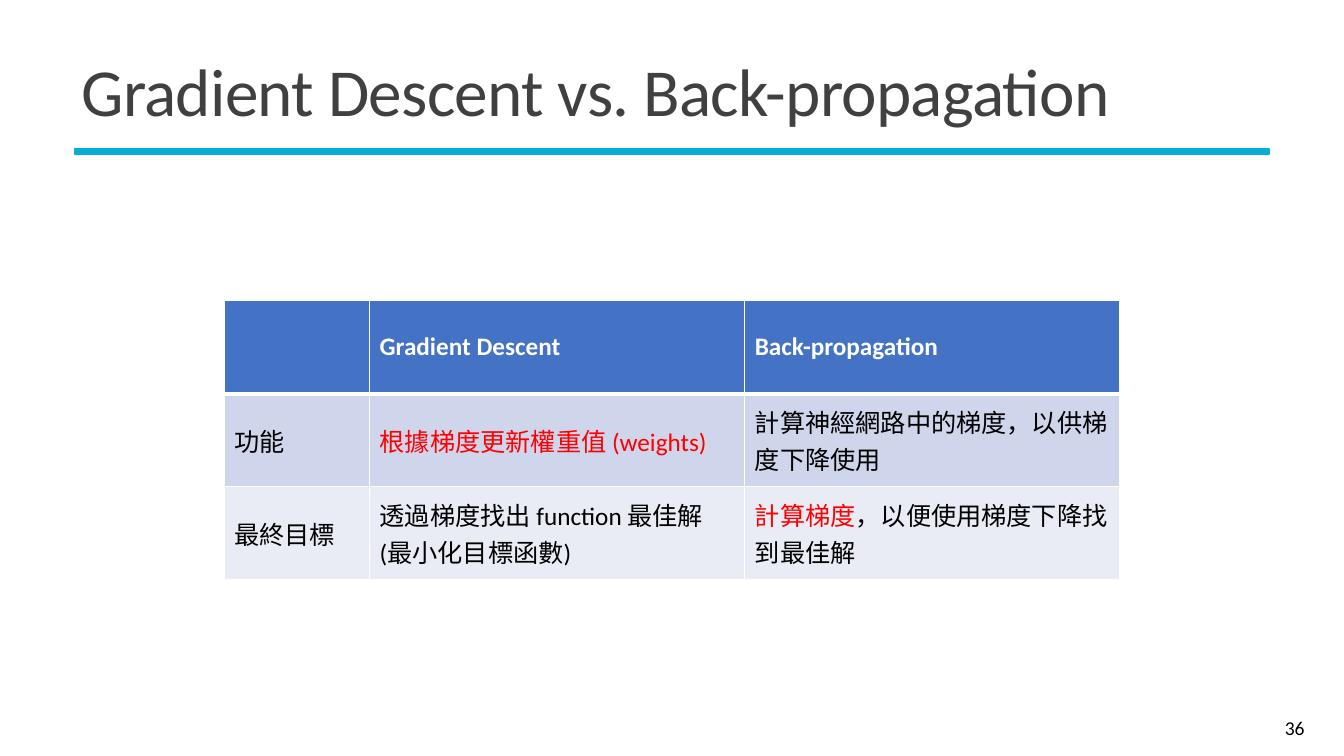
import pptx
import pptx.dml.color
import pptx.enum.shapes
import pptx.enum.text
import pptx.oxml
import pptx.oxml.ns
import pptx.util

Pt = pptx.util.Pt
RGBColor = pptx.dml.color.RGBColor
MIDDLE = pptx.enum.text.MSO_ANCHOR.MIDDLE
PP_ALIGN = pptx.enum.text.PP_ALIGN

FONT = "Calibri"
WHITE = RGBColor(0xFF, 0xFF, 0xFF)
BLACK = RGBColor(0, 0, 0)
RED = RGBColor(0xFF, 0, 0)
GREY = RGBColor(0x40, 0x40, 0x40)
CYAN = RGBColor(0x05, 0xAE, 0xD6)
HEADER_BLUE = RGBColor(0x44, 0x72, 0xC4)
BAND_DARK = RGBColor(0xCF, 0xD5, 0xEA)
BAND_LIGHT = RGBColor(0xE9, 0xEB, 0xF5)

ROW_FILLS = [HEADER_BLUE, BAND_DARK, BAND_LIGHT]
COLUMN_SHARES = [0.1625, 0.41875, 0.41875]
COMPARISON = [
    [[], [("Gradient Descent", WHITE)], [("Back-propagation", WHITE)]],
    [
        [("功能", BLACK)],
        [("根據梯度更新權重值 (weights)", RED)],
        [("計算神經網路中的梯度，以供梯度下降使用", BLACK)],
    ],
    [
        [("最終目標", BLACK)],
        [("透過梯度找出 function 最佳解 (最小化目標函數)", BLACK)],
        [("計算梯度", RED), ("，以便使用梯度下降找到最佳解", BLACK)],
    ],
]


def add_run(p, text, size, color, bold=False):
    """Append a styled run to a paragraph and return it."""
    r = p.add_run()
    r.text = text
    r.font.name = FONT
    r.font.size = Pt(size)
    r.font.bold = bold
    r.font.color.rgb = color
    return r


def add_label(slide, box, text, size, color, align=PP_ALIGN.LEFT):
    """Place one line of vertically centred text in the box."""
    tf = slide.shapes.add_textbox(*map(Pt, box)).text_frame
    tf.word_wrap = True
    tf.vertical_anchor = MIDDLE
    p = tf.paragraphs[0]
    p.alignment = align
    return p, add_run(p, text, size, color)


def add_title(slide, left, top, width, height, text):
    """Place the title with the coloured rule near the bottom of its box."""
    rule = slide.shapes.add_shape(
        pptx.enum.shapes.MSO_SHAPE.RECTANGLE,
        Pt(left + 2.2), Pt(top + height - 3), Pt(width - 6.5), Pt(3.8))
    rule.shadow.inherit = False
    rule.fill.solid()
    rule.fill.fore_color.rgb = CYAN
    rule.line.color.rgb = CYAN
    rule.line.width = Pt(1.25)
    p, r = add_label(slide, (left, top, width, height), text, 48, GREY)
    p.line_spacing = 0.85
    r.font._element.set("spc", "-50")


def set_borders(cell, top, bottom):
    """Draw white cell borders, with the given top and bottom widths."""
    tcPr = cell._tc.get_or_add_tcPr()
    for side, width in (("L", 1), ("R", 1), ("T", top), ("B", bottom)):
        tcPr.append(pptx.oxml.parse_xml(
            f'<a:ln{side} {pptx.oxml.ns.nsdecls("a")} w="{Pt(width)}">'
            f'<a:solidFill><a:srgbClr val="{WHITE}"/></a:solidFill></a:ln{side}>'))


def add_comparison(slide, left, top, width, height):
    """Fill the box with the comparison table."""
    table = slide.shapes.add_table(
        len(COMPARISON), len(COLUMN_SHARES),
        Pt(left), Pt(top), Pt(width), Pt(height)).table
    for column, share in zip(table.columns, COLUMN_SHARES):
        column.width = Pt(width * share)
    for i, row in enumerate(COMPARISON):
        for j, runs in enumerate(row):
            cell = table.cell(i, j)
            set_borders(cell, 3 if i == 1 else 1, 3 if i == 0 else 1)
            cell.fill.solid()
            cell.fill.fore_color.rgb = ROW_FILLS[i]
            cell.vertical_anchor = MIDDLE
            for text, color in runs:
                add_run(cell.text_frame.paragraphs[0], text, 18, color, i == 0)


def main():
    """Build the slide and save it."""
    prs = pptx.Presentation()
    prs.slide_width, prs.slide_height = Pt(960), Pt(540)
    slide = prs.slides.add_slide(prs.slide_layouts[6])
    add_title(slide, 51.1, 28.1, 859.7, 81.4,
              "Gradient Descent vs. Back-propagation")
    add_comparison(slide, 160, 214.8, 640, 199.2)
    add_label(slide, (836, 505.5, 103, 28.8), "36", 14, BLACK, PP_ALIGN.RIGHT)
    prs.save("out.pptx")


if __name__ == "__main__":
    main()
